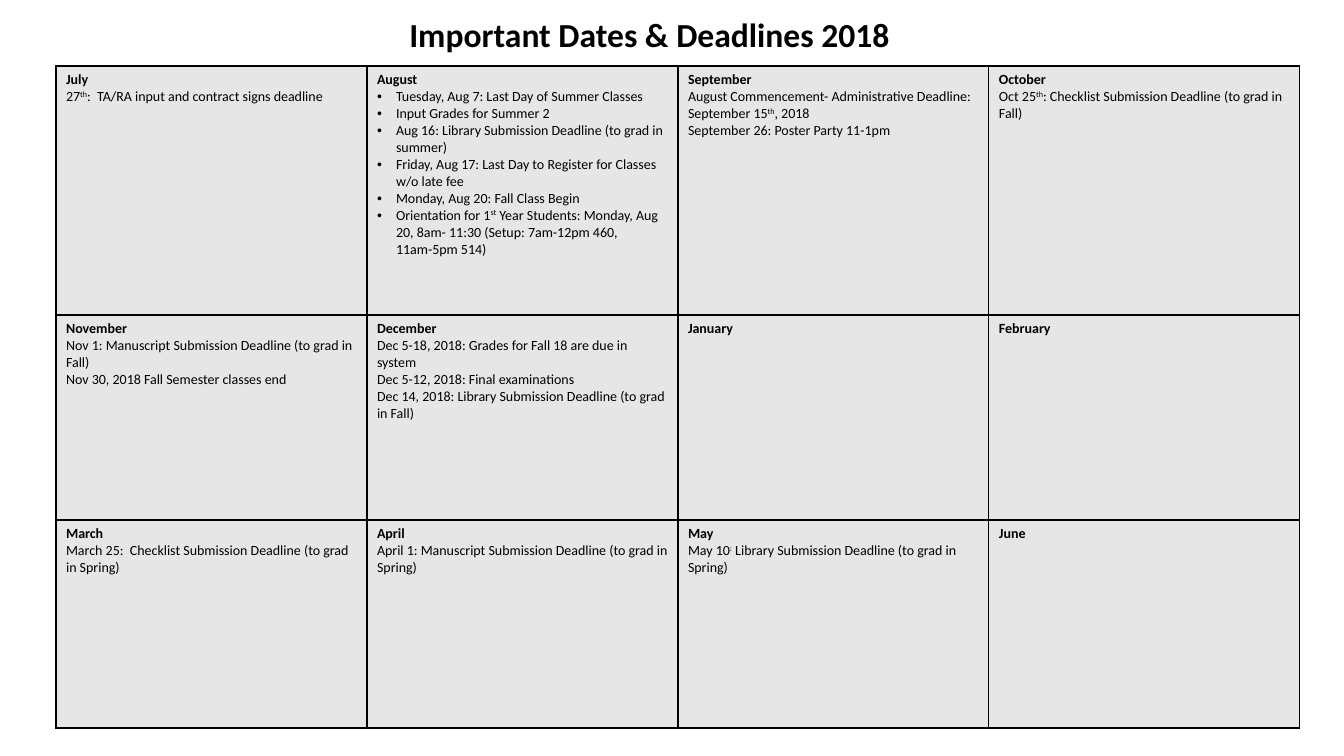
"""Build a one-slide calendar of important dates and deadlines."""
import pptx
import pptx.util
import pptx.dml.color
import pptx.enum.text
import pptx.oxml
import pptx.oxml.ns

TITLE = "Important Dates & Deadlines 2018"
# Text between carets is superscript; a leading bullet makes a list item.
MONTHS = [
    ("July", ["27^th^:  TA/RA input and contract signs deadline"]),
    ("August", [
        "•Tuesday, Aug 7: Last Day of Summer Classes",
        "•Input Grades for Summer 2",
        "•Aug 16: Library Submission Deadline (to grad in summer)",
        "•Friday, Aug 17: Last Day to Register for Classes w/o late fee",
        "•Monday, Aug 20: Fall Class Begin",
        "•Orientation for 1^st^ Year Students: Monday, Aug 20, 8am- 11:30 "
        "(Setup: 7am-12pm 460, 11am-5pm 514)",
    ]),
    ("September", [
        "August Commencement- Administrative Deadline:  September 15^th^, 2018",
        "September 26: Poster Party 11-1pm",
    ]),
    ("October", ["Oct 25^th^: Checklist Submission Deadline (to grad in Fall)"]),
    ("November", [
        "Nov 1: Manuscript Submission Deadline (to grad in Fall)",
        "Nov 30, 2018 Fall Semester classes end",
    ]),
    ("December", [
        "Dec 5-18, 2018: Grades for Fall 18 are due in system",
        "Dec 5-12, 2018: Final examinations",
        "Dec 14, 2018: Library Submission Deadline (to grad in Fall)",
    ]),
    ("January", []),
    ("February", []),
    ("March", ["March 25:  Checklist Submission Deadline (to grad in Spring)"]),
    ("April", ["April 1: Manuscript Submission Deadline (to grad in Spring)"]),
    ("May", ["May 10^:^ Library Submission Deadline (to grad in Spring)"]),
    ("June", []),
]
COLORS = {"text": "000000", "line": "000000", "cell": "E7E6E6"}
FONT = "Calibri"
COLS, WIDTH = 4, 311
HEIGHTS = [249, 205, 208]
INDENT = 19


def px(count):
    return pptx.util.Emu(round(count * 914400 / 100.8))


def rgb(name):
    return pptx.dml.color.RGBColor.from_string(COLORS[name])


def style(para, size, bold):
    font = para.font
    font.name, font.size, font.bold = FONT, pptx.util.Pt(size), bold
    font.color.rgb = rgb("text")


def bullet(para):
    props = para._p.get_or_add_pPr()
    props.set("marL", str(px(INDENT)))
    props.set("indent", str(-px(INDENT)))
    for tag, key, value in (("buFont", "typeface", "Arial"), ("buChar", "char", "•")):
        props.append(pptx.oxml.parse_xml(
            f'<a:{tag} {pptx.oxml.ns.nsdecls("a")} {key}="{value}"/>'))


def write(para, line):
    if line.startswith("•"):
        bullet(para)
    for index, part in enumerate(line.lstrip("•").split("^")):
        run = para.add_run()
        run.text = part
        if index % 2:
            run._r.get_or_add_rPr().set("baseline", "30000")
    style(para, 10, False)


def border(cell):
    props = cell._tc.get_or_add_tcPr()
    for index, side in enumerate(("lnL", "lnR", "lnT", "lnB")):
        props.insert(index, pptx.oxml.parse_xml(
            f'<a:{side} {pptx.oxml.ns.nsdecls("a")} w="12700"><a:solidFill>'
            f'<a:srgbClr val="{COLORS["line"]}"/></a:solidFill></a:{side}>'))


def fill(cell, month, lines):
    cell.fill.solid()
    cell.fill.fore_color.rgb = rgb("cell")
    border(cell)
    frame = cell.text_frame
    head = frame.paragraphs[0]
    head.text = month
    style(head, 10, True)
    for line in lines:
        write(frame.add_paragraph(), line)


def main():
    deck = pptx.Presentation()
    deck.slide_width, deck.slide_height = px(1344), px(756)
    slide = deck.slides.add_slide(deck.slide_layouts[5])

    title = slide.shapes.title
    title.left, title.top, title.width, title.height = map(px, (70, 0, 1159, 146))
    frame = title.text_frame
    frame.text = TITLE
    frame.word_wrap = True
    frame.vertical_anchor = pptx.enum.text.MSO_ANCHOR.TOP
    frame.margin_top = px(18)
    para = frame.paragraphs[0]
    para.alignment = pptx.enum.text.PP_ALIGN.CENTER
    para.line_spacing = 0.9
    style(para, 24, True)

    table = slide.shapes.add_table(
        len(HEIGHTS), COLS, px(56), px(66), px(COLS * WIDTH), px(sum(HEIGHTS))).table
    for col in table.columns:
        col.width = px(WIDTH)
    for row, height in zip(table.rows, HEIGHTS):
        row.height = px(height)
    for index, (month, lines) in enumerate(MONTHS):
        fill(table.cell(*divmod(index, COLS)), month, lines)

    deck.save("out.pptx")


if __name__ == "__main__":
    main()
